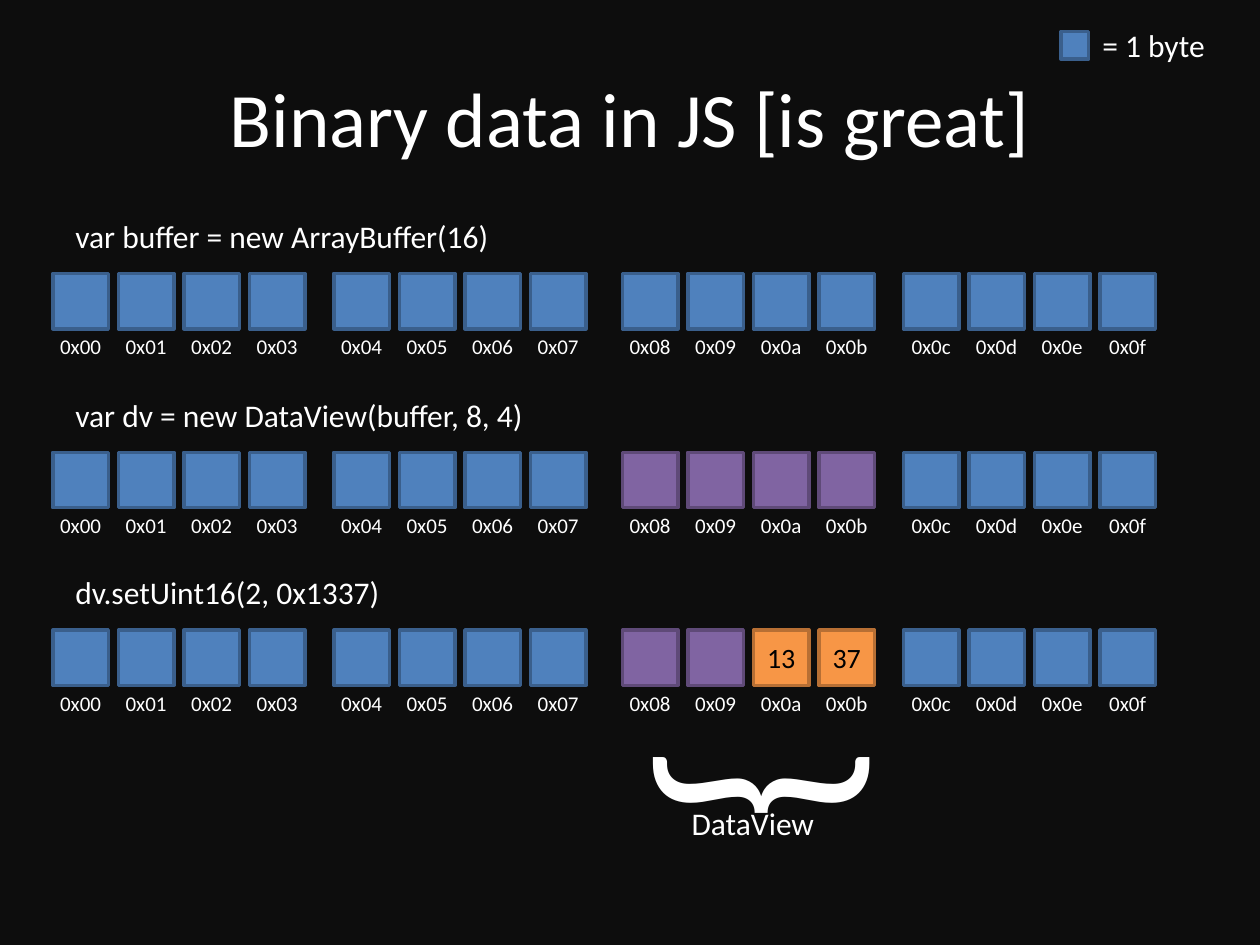
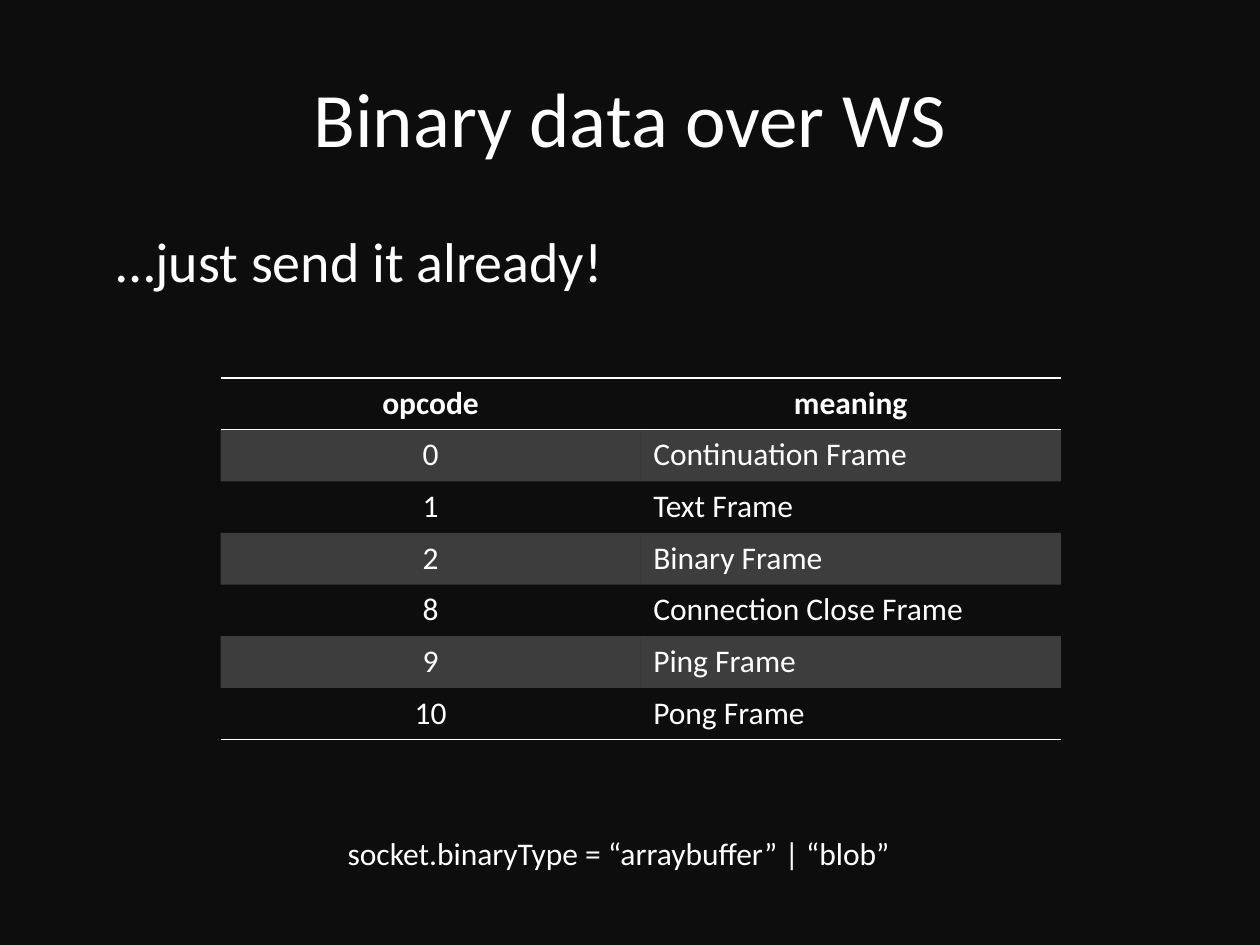
from dataclasses import dataclass

from lxml import etree
from pptx import Presentation
from pptx.dml.color import RGBColor
from pptx.enum.shapes import MSO_SHAPE
from pptx.enum.text import MSO_ANCHOR, MSO_AUTO_SIZE, PP_ALIGN
from pptx.oxml.ns import qn
from pptx.util import Inches, Pt

RECTANGLE = MSO_SHAPE.RECTANGLE
MIDDLE = MSO_ANCHOR.MIDDLE
GROW = MSO_AUTO_SIZE.SHAPE_TO_FIT_TEXT
LEFT, CENTER = PP_ALIGN.LEFT, PP_ALIGN.CENTER
PLAIN_TABLE_STYLE = "{2D5ABB26-0587-4C30-8999-92F81FD0307C}"


@dataclass(frozen=True)
class Theme:
    font: str = "Calibri"
    background: str = "0D0D0D"
    text: str = "FFFFFF"
    value_text: str = "000000"
    buffer: tuple = ("4F81BD", "3A5F8C")
    view: tuple = ("8064A2", "5F4A78")
    written: tuple = ("F79646", "B76F34")
    title_size: int = 44
    lead_size: int = 32
    body_size: int = 18
    value_size: int = 16
    address_size: int = 12
    brace_size: int = 144
    band_opacity: int = 20
    byte_border: int = 2
    table_border: int = 1


BYTE_SIZE = 0.44
BYTE_PITCH = 0.52
GROUP_LEFTS = (0.42, 2.65, 4.94, 7.17)
BYTE_LEFTS = [left + i * BYTE_PITCH for left in GROUP_LEFTS for i in range(4)]
ADDRESS_WIDTH = 0.53


class Deck:
    def __init__(self, theme):
        self.theme = theme
        self.presentation = Presentation()
        self.presentation.slide_width = Inches(10)
        self.presentation.slide_height = Inches(7.5)
        self.slide = None

    def add_slide(self, title):
        layout = self.presentation.slide_layouts[5]
        self.slide = self.presentation.slides.add_slide(layout)
        fill = self.slide.background.fill
        fill.solid()
        fill.fore_color.rgb = RGBColor.from_string(self.theme.background)
        shape = self.slide.shapes.title
        shape.left, shape.top = Inches(0.5), Inches(0.3)
        shape.width, shape.height = Inches(9), Inches(1.25)
        shape.text_frame.vertical_anchor = MIDDLE
        self.set_text(shape.text_frame, title, self.theme.title_size, CENTER)

    def set_text(self, text_frame, text, size, align=LEFT, color=None,
                 bold=False):
        text_frame.text = text
        paragraph = text_frame.paragraphs[0]
        paragraph.alignment = align
        font = paragraph.font
        font.name = self.theme.font
        font.size = Pt(size)
        font.bold = bold
        font.color.rgb = RGBColor.from_string(color or self.theme.text)

    def add_text(self, text, left, top, width, height=0.4, size=None,
                 align=LEFT, wrap=False, rotation=0):
        shape = self.slide.shapes.add_textbox(
            Inches(left), Inches(top), Inches(width), Inches(height))
        shape.rotation = rotation
        shape.text_frame.word_wrap = wrap
        shape.text_frame.auto_size = GROW
        self.set_text(shape.text_frame, text, size or self.theme.body_size,
                      align)

    def add_byte(self, left, top, colors, size=BYTE_SIZE, value=None):
        shape = self.slide.shapes.add_shape(
            RECTANGLE, Inches(left), Inches(top), Inches(size), Inches(size))
        shape.shadow.inherit = False
        fill_color, line_color = colors
        shape.fill.solid()
        shape.fill.fore_color.rgb = RGBColor.from_string(fill_color)
        shape.line.color.rgb = RGBColor.from_string(line_color)
        shape.line.width = Pt(self.theme.byte_border)
        if value:
            text_frame = shape.text_frame
            text_frame.margin_left = text_frame.margin_right = 0
            text_frame.vertical_anchor = MIDDLE
            self.set_text(text_frame, value, self.theme.value_size, CENTER,
                          self.theme.value_text)

    def add_memory(self, code, code_width, top, view=(), values=None):
        values = values or {}
        self.add_text(code, 0.5, top - 0.5, code_width)
        for address, left in enumerate(BYTE_LEFTS):
            if address in values:
                colors = self.theme.written
            elif address in view:
                colors = self.theme.view
            else:
                colors = self.theme.buffer
            self.add_byte(left, top, colors, value=values.get(address))
            self.add_text(f"0x{address:02x}",
                          left + (BYTE_SIZE - ADDRESS_WIDTH) / 2, top + 0.43,
                          ADDRESS_WIDTH, 0.3, self.theme.address_size, CENTER)

    def add_border(self, cell, tag):
        properties = cell._tc.get_or_add_tcPr()
        line = etree.SubElement(properties, qn(tag),
                                w=str(Pt(self.theme.table_border)))
        fill = etree.SubElement(line, qn("a:solidFill"))
        etree.SubElement(fill, qn("a:srgbClr"), val=self.theme.text)

    def fill_band(self, cell):
        cell.fill.solid()
        cell.fill.fore_color.rgb = RGBColor.from_string(self.theme.text)
        color = cell._tc.tcPr.find(qn("a:solidFill")).find(qn("a:srgbClr"))
        etree.SubElement(color, qn("a:alpha"),
                         val=str(self.theme.band_opacity * 1000))

    def add_table(self, rows, left, top, width, row_height):
        frame = self.slide.shapes.add_table(
            len(rows), len(rows[0]), Inches(left), Inches(top),
            Inches(width), Inches(row_height * len(rows)))
        table = frame.table
        table._tbl.tblPr.find(qn("a:tableStyleId")).text = PLAIN_TABLE_STYLE
        for row_index, row in enumerate(rows):
            header = row_index == 0
            for column_index, text in enumerate(row):
                cell = table.cell(row_index, column_index)
                align = CENTER if header or column_index == 0 else LEFT
                self.set_text(cell.text_frame, text, self.theme.body_size,
                              align, bold=header)
                if header:
                    self.add_border(cell, "a:lnT")
                if header or row_index == len(rows) - 1:
                    self.add_border(cell, "a:lnB")
                if row_index % 2:
                    self.fill_band(cell)
                else:
                    cell.fill.background()


def build_buffer_slide(deck):
    theme = deck.theme
    deck.add_slide("Binary data in JS [is great]")
    deck.add_byte(8.42, 0.25, theme.buffer, size=0.22)
    deck.add_text("= 1 byte", 8.65, 0.16, 1.03)
    view = range(8, 12)
    deck.add_memory("var buffer = new ArrayBuffer(16)", 3.53, 2.17)
    deck.add_memory("var dv = new DataView(buffer, 8, 4)", 3.8, 3.59, view)
    deck.add_memory("dv.setUint16(2, 0x1337)", 2.64, 5, view,
                    {10: "13", 11: "37"})
    deck.add_text("{", 5.45, 4.97, 0.79, 2.52, theme.brace_size,
                  wrap=True, rotation=270)
    deck.add_text("DataView", 5.39, 6.33, 1.19)


def build_opcode_slide(deck):
    deck.add_slide("Binary data over WS")
    deck.add_text("…just send it already!", 0.83, 1.75, 4.1, 0.64,
                  deck.theme.lead_size)
    opcodes = [
        ("opcode", "meaning"),
        ("0", "Continuation Frame"),
        ("1", "Text Frame"),
        ("2", "Binary Frame"),
        ("8", "Connection Close Frame"),
        ("9", "Ping Frame"),
        ("10", "Pong Frame"),
    ]
    deck.add_table(opcodes, 1.75, 3, 6.67, 0.41)
    deck.add_text("socket.binaryType = “arraybuffer” | “blob”",
                  2.66, 6.57, 4.55)


def main():
    deck = Deck(Theme())
    build_buffer_slide(deck)
    build_opcode_slide(deck)
    deck.presentation.save("out.pptx")


if __name__ == "__main__":
    main()
